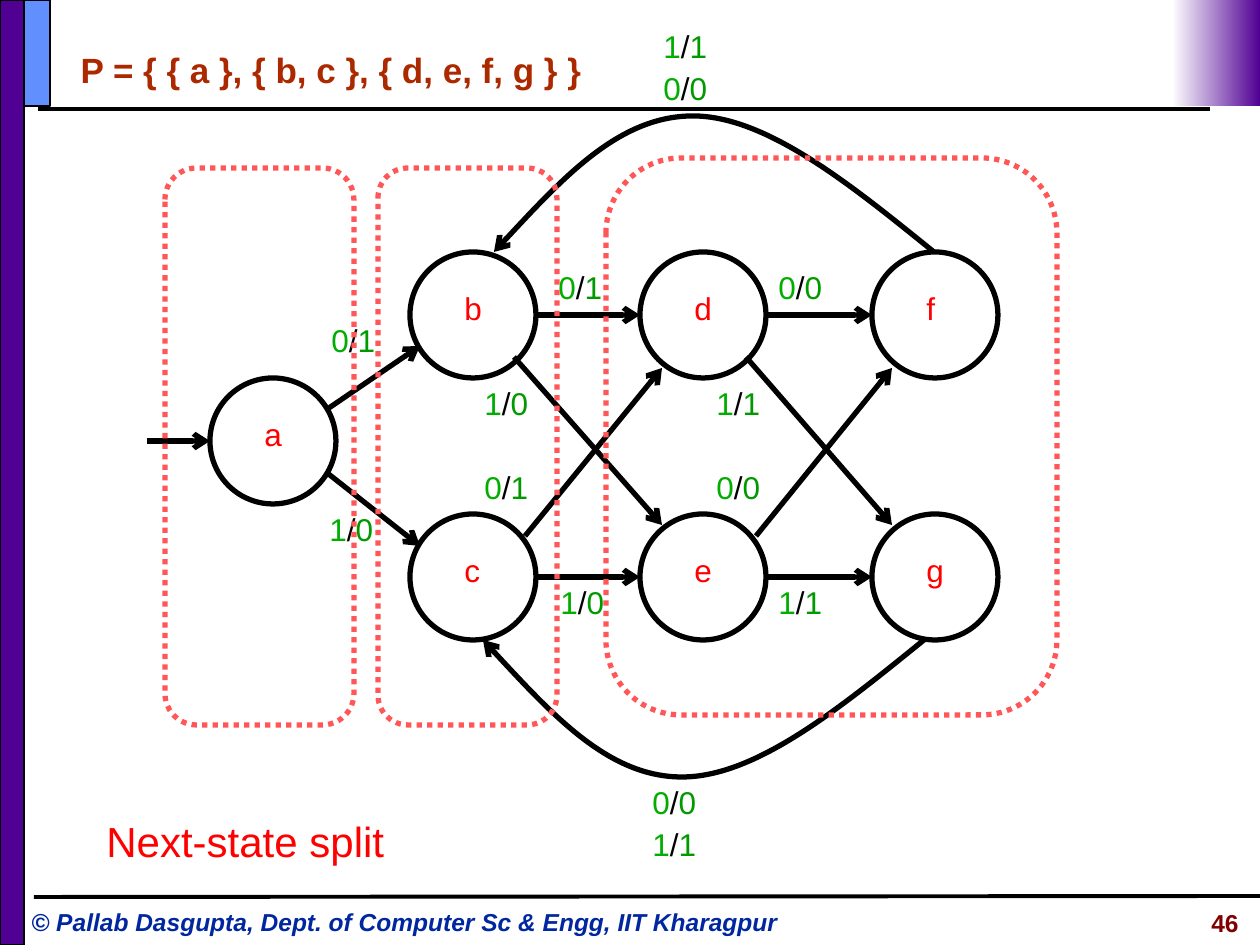
from lxml import etree
from pptx import Presentation
from pptx.dml.color import RGBColor
from pptx.enum.dml import MSO_LINE
from pptx.enum.shapes import MSO_CONNECTOR, MSO_SHAPE
from pptx.enum.text import MSO_ANCHOR, MSO_AUTO_SIZE, PP_ALIGN
from pptx.oxml.ns import qn
from pptx.util import Emu, Pt

STRAIGHT = MSO_CONNECTOR.STRAIGHT
RECTANGLE = MSO_SHAPE.RECTANGLE
ROUNDED = MSO_SHAPE.ROUNDED_RECTANGLE
OVAL = MSO_SHAPE.OVAL
DOTTED = MSO_LINE.ROUND_DOT
TOP = MSO_ANCHOR.TOP
NO_AUTOFIT = MSO_AUTO_SIZE.NONE
LEFT, RIGHT = PP_ALIGN.LEFT, PP_ALIGN.RIGHT

EMU_PER_PX = 914400 / 126
FONT = "Arial"
COLORS = {
    "black": "000000", "white": "FFFFFF", "purple": "500093", "blue": "618FFD",
    "footer": "00279F", "number": "800000", "title": "AC2900", "red": "FF0000",
    "input": "00AE00", "output": "009900", "block": "FF5757",
}
DIAMETER = 126
STATES = {
    "a": (210, 378),
    "b": (410, 252), "d": (640, 252), "f": (872, 252),
    "c": (410, 514), "e": (640, 514), "g": (872, 514),
}
TRANSITIONS = [
    (147, 441, 210, 441), (326, 410, 420, 346), (326, 472, 420, 546),
    (536, 315, 640, 315), (514, 357, 662, 525),
    (525, 536, 662, 368), (536, 577, 640, 577),
    (766, 315, 872, 315), (746, 357, 892, 525),
    (756, 536, 892, 368), (766, 577, 872, 577),
]
RETURNS = [
    [(934, 252), (850, 184), (766, 116), (693, 116), (620, 116), (557, 184), (494, 252)],
    [(924, 640), (840, 708), (756, 777), (682, 777), (609, 777), (546, 708), (483, 640)],
]
LABELS = [
    ("0/1", 319, 315), ("1/0", 317, 504), ("0/1", 546, 262), ("1/0", 472, 378),
    ("0/1", 472, 462), ("1/0", 548, 577), ("0/0", 766, 262), ("1/1", 704, 378),
    ("0/0", 704, 462), ("1/1", 766, 577), ("1/1", 651, 21), ("0/0", 651, 63),
    ("0/0", 640, 777), ("1/1", 640, 819),
]
BLOCKS = [(165, 168, 189, 557), (378, 168, 179, 557), (606, 158, 451, 557)]


def px(value):
    return Emu(round(value * EMU_PER_PX))


def color(name):
    return RGBColor.from_string(COLORS[name])


def format_line(shape, name, width):
    shape.line.color.rgb = color(name)
    shape.line.width = Pt(width)


def add_arrowhead(shape):
    line = shape._element.spPr.find(qn("a:ln"))
    etree.SubElement(line, qn("a:tailEnd"), type="arrow")


def add_shape(slide, kind, box, fill=None, line="black", width=1):
    shape = slide.shapes.add_shape(kind, *map(px, box))
    shape.shadow.inherit = False
    if fill:
        shape.fill.solid()
        shape.fill.fore_color.rgb = color(fill)
    else:
        shape.fill.background()
    format_line(shape, line, width)
    return shape


def add_line(slide, ends, width):
    connector = slide.shapes.add_connector(STRAIGHT, *map(px, ends))
    format_line(connector, "black", width)
    etree.SubElement(connector._element.spPr, qn("a:effectLst"))
    return connector


def add_transition(slide, ends):
    connector = add_line(slide, ends, 3)
    add_arrowhead(connector)


def add_return(slide, points):
    builder = slide.shapes.build_freeform(*points[0], scale=EMU_PER_PX)
    builder.add_line_segments(points[1:], close=False)
    shape = builder.convert_to_shape()
    shape.shadow.inherit = False
    shape.fill.background()
    format_line(shape, "black", 3)
    add_arrowhead(shape)
    outline = shape._element.xpath(".//a:path")[0]
    segments = outline.findall(qn("a:lnTo"))
    for start in range(0, len(segments), 3):
        curve = etree.SubElement(outline, qn("a:cubicBezTo"))
        for segment in segments[start:start + 3]:
            curve.append(segment[0])
            outline.remove(segment)


def format_text(shape, runs, size, bold=False, italic=False, align=LEFT):
    frame = shape.text_frame
    frame.word_wrap = True
    frame.auto_size = NO_AUTOFIT
    frame.vertical_anchor = TOP
    paragraph = frame.paragraphs[0]
    paragraph.alignment = align
    for text, name in runs:
        run = paragraph.add_run()
        run.text = text
        run.font.name = FONT
        run.font.size = Pt(size)
        run.font.bold = bold
        run.font.italic = italic
        run.font.color.rgb = color(name)


def add_text(slide, box, runs, size, **style):
    format_text(slide.shapes.add_textbox(*map(px, box)), runs, size, **style)


def add_title(slide, text):
    title = slide.shapes.title
    title.left, title.top, title.width, title.height = map(px, (68, 42, 567, 55))
    format_text(title, [(text, "title")], 20, bold=True)


def add_frame(slide):
    add_line(slide, (38, 109, 1210, 109), 2.25)
    add_shape(slide, RECTANGLE, (0, 0, 24, 945), "purple")
    add_line(slide, (34, 897, 1260, 896), 2.25)
    add_shape(slide, RECTANGLE, (24, 0, 26, 106), "blue")
    corner = add_shape(slide, RECTANGLE, (1172, 0, 88, 106))
    corner.line.fill.background()
    corner.fill.gradient()
    corner.fill.gradient_angle = 180
    for stop, name in zip(corner.fill.gradient_stops, ("purple", "white")):
        stop.color.rgb = color(name)
    footer = "© Pallab Dasgupta, Dept. of Computer Sc & Engg, IIT Kharagpur"
    add_text(slide, (19, 901, 803, 43), [(footer, "footer")], 14, bold=True, italic=True)
    add_text(slide, (1031, 902, 220, 43), [("46", "number")], 14, bold=True, align=RIGHT)


def add_state(slide, name, left, top):
    add_shape(slide, OVAL, (left, top, DIAMETER, DIAMETER), width=3)
    add_text(slide, (left + 42, top + 31, 53, 50), [(name, "red")], 18)


def add_label(slide, label, left, top):
    width = 105 if label == "0/0" else 84
    runs = zip(label, ("input", "black", "output"))
    add_text(slide, (left, top, width, 50), runs, 18)


def add_block(slide, box):
    block = add_shape(slide, ROUNDED, box, line="block", width=3)
    block.line.dash_style = DOTTED


def main():
    presentation = Presentation()
    presentation.slide_width = px(1260)
    presentation.slide_height = px(945)
    slide = presentation.slides.add_slide(presentation.slide_layouts[5])
    add_frame(slide)
    add_title(slide, "P = { { a }, { b, c }, { d, e, f, g } }")
    for name, (left, top) in STATES.items():
        add_state(slide, name, left, top)
    for ends in TRANSITIONS:
        add_transition(slide, ends)
    for points in RETURNS:
        add_return(slide, points)
    for label in LABELS:
        add_label(slide, *label)
    for box in BLOCKS:
        add_block(slide, box)
    add_text(slide, (94, 809, 347, 63), [("Next-state split", "red")], 24)
    presentation.save("out.pptx")


if __name__ == "__main__":
    main()
